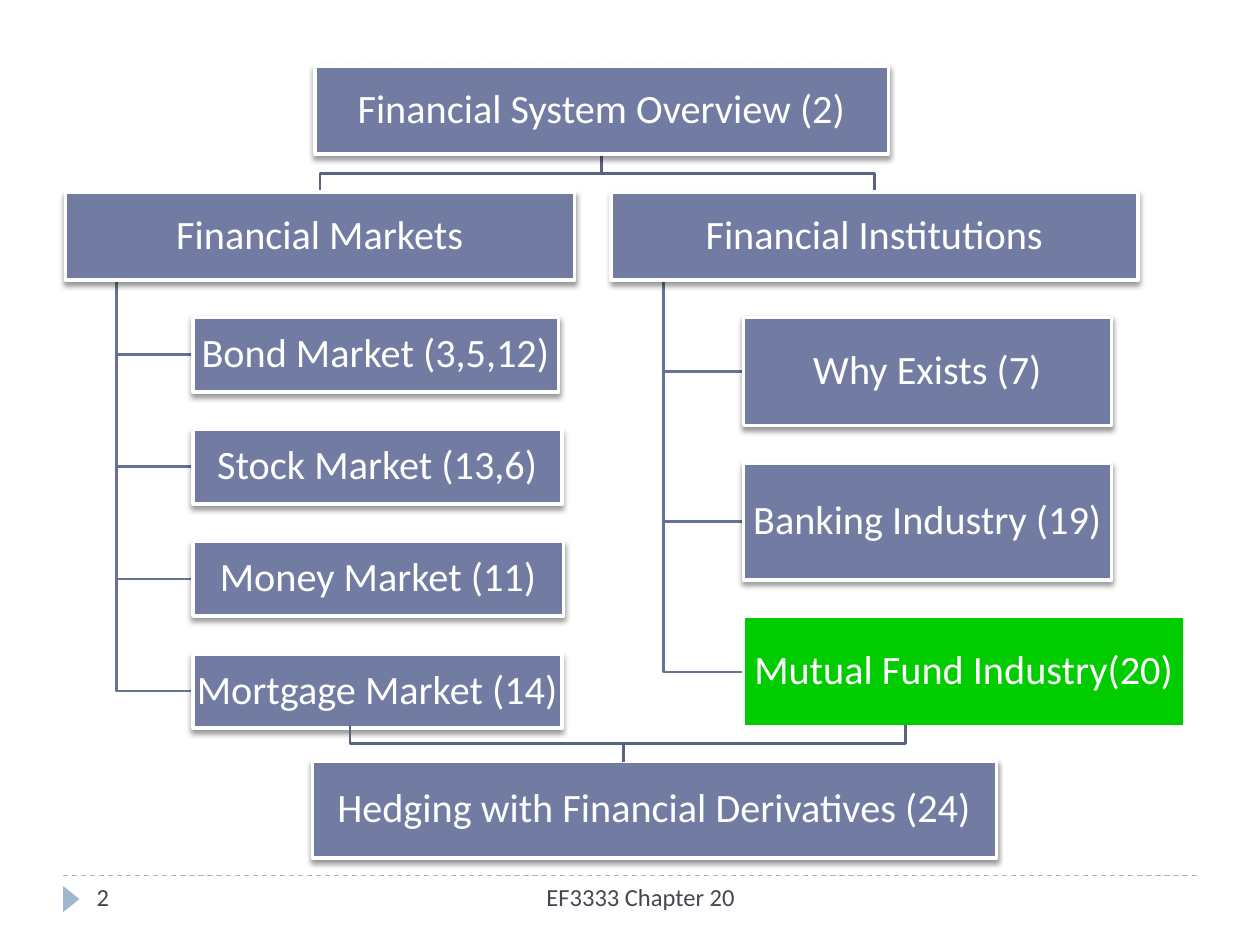
from lxml import etree
from pptx import Presentation
from pptx.dml.color import RGBColor
from pptx.enum import dml, shapes, text
from pptx.oxml.ns import qn
from pptx.util import Cm, Pt

SLATE, GREEN, WHITE = "727CA3", "00CC00", "FFFFFF"
BRANCH, BRACKET, ACCENT, INK = "677194", "5B6383", "9FB8CD", "464653"
CHILD_TOP = 6.4


def color(hex_code):
    return RGBColor.from_string(hex_code)


def style_paragraph(paragraph, size, ink, align):
    paragraph.alignment = align
    paragraph.font.name = "Calibri"
    paragraph.font.size = Pt(size)
    paragraph.font.color.rgb = color(ink)


def drop_shadow(shape):
    effects = shape._element.spPr.find(qn("a:effectLst"))
    shadow = etree.SubElement(effects, qn("a:outerShdw"), blurRad=str(Pt(3)),
                              dist=str(Pt(2)), dir="5400000", rotWithShape="0")
    black = etree.SubElement(shadow, qn("a:srgbClr"), val="000000")
    etree.SubElement(black, qn("a:alpha"), val="40000")


def add_topic(slide, label, left, top, width, height, fill=SLATE):
    box = slide.shapes.add_shape(shapes.MSO_SHAPE.RECTANGLE,
                                 Cm(left), Cm(top), Cm(width), Cm(height))
    box.shadow.inherit = False
    box.fill.solid()
    box.fill.fore_color.rgb = color(fill)
    box.line.color.rgb = color(WHITE)
    box.line.width = Pt(2 if fill == SLATE else 1.5)
    if fill == SLATE:
        drop_shadow(box)
    frame = box.text_frame
    frame.word_wrap = True
    frame.vertical_anchor = text.MSO_ANCHOR.MIDDLE
    frame.margin_left = frame.margin_right = Cm(0.05)
    frame.margin_top = frame.margin_bottom = Cm(0.05)
    frame.text = label
    frame.paragraphs[0].line_spacing = 0.9
    style_paragraph(frame.paragraphs[0], 23, WHITE, text.PP_ALIGN.CENTER)


def add_path(slide, points, ink):
    start, *rest = [(Cm(x), Cm(y)) for x, y in points]
    builder = slide.shapes.build_freeform(*start)
    builder.add_line_segments(rest, close=False)
    path = builder.convert_to_shape()
    path.shadow.inherit = False
    path.fill.background()
    path.line.color.rgb = color(ink)
    path.line.width = Pt(1.5)


def add_bracket(slide, root_x, root_y, bar_y, ends, end_y):
    for end_x in ends:
        add_path(slide, [(root_x, root_y), (root_x, bar_y),
                         (end_x, bar_y), (end_x, end_y)], BRACKET)


def add_branch(slide, parent, child_left, gap, children):
    _, left, top, width, height = parent
    trunk = left + width / 10
    placed = []
    child_top = CHILD_TOP
    for label, child_width, child_height, fill in children:
        placed.append((label, child_left, child_top, child_width, child_height, fill))
        middle = child_top + child_height / 2
        add_path(slide, [(trunk, top + height), (trunk, middle),
                         (child_left, middle)], BRANCH)
        child_top += child_height + gap
    add_topic(slide, *parent)
    for child in placed:
        add_topic(slide, *child)


def add_footer_text(slide, words, left, width, align):
    box = slide.shapes.add_textbox(Cm(left), Cm(17.65), Cm(width), Cm(1.02))
    box.text_frame.word_wrap = True
    box.text_frame.text = words
    style_paragraph(box.text_frame.paragraphs[0], 14, INK, align)


def add_footer(slide):
    rule = slide.shapes.add_connector(shapes.MSO_CONNECTOR.STRAIGHT,
                                      Cm(1.27), Cm(17.65), Cm(24.13), Cm(17.65))
    etree.SubElement(rule._element.spPr, qn("a:effectLst"))
    rule.line.color.rgb = color(ACCENT)
    rule.line.width = Pt(0.75)
    rule.line.dash_style = dml.MSO_LINE.DASH

    marker = slide.shapes.add_shape(shapes.MSO_SHAPE.ISOSCELES_TRIANGLE,
                                    Cm(1.17), Cm(17.96), Cm(0.53), Cm(0.33))
    marker.rotation = 90
    marker.shadow.inherit = False
    marker.fill.solid()
    marker.fill.fore_color.rgb = color(ACCENT)
    marker.line.fill.background()

    add_footer_text(slide, "EF3333 Chapter 20", 8.05, 9.73, text.PP_ALIGN.CENTER)
    add_footer_text(slide, "2", 1.7, 5.51, text.PP_ALIGN.LEFT)


def main():
    deck = Presentation()
    deck.slide_width, deck.slide_height = Cm(25.4), Cm(19.05)
    slide = deck.slides.add_slide(deck.slide_layouts[6])
    add_footer(slide)

    markets = ("Financial Markets", 1.32, 3.87, 10.26, 1.78)
    institutions = ("Financial Institutions", 12.32, 3.87, 10.62, 1.78)
    centers = [left + width / 2 for _, left, _, width, _ in (markets, institutions)]
    add_bracket(slide, 12.13, 3.11, 3.5, centers, 3.87)
    add_topic(slide, "Financial System Overview (2)", 6.35, 1.33, 11.56, 1.78)

    add_branch(slide, markets, 3.89, 0.76, [
        ("Bond Market (3,5,12)", 7.37, 1.5, SLATE),
        ("Stock Market (13,6)", 7.44, 1.5, SLATE),
        ("Money Market (11)", 7.47, 1.5, SLATE),
        ("Mortgage Market (14)", 7.44, 1.5, SLATE),
    ])
    add_branch(slide, institutions, 14.99, 0.75, [
        ("Why Exists (7)", 7.42, 2.18, SLATE),
        ("Banking Industry (19)", 7.42, 2.36, SLATE),
        ("Mutual Fund Industry(20)", 8.89, 2.21, GREEN),
    ])

    add_topic(slide, "Hedging with Financial Derivatives (24)", 6.3, 15.34, 13.79, 1.96)
    add_bracket(slide, 12.57, 15.37, 14.99, (7.06, 18.26), 14.61)
    deck.save("out.pptx")


if __name__ == "__main__":
    main()
